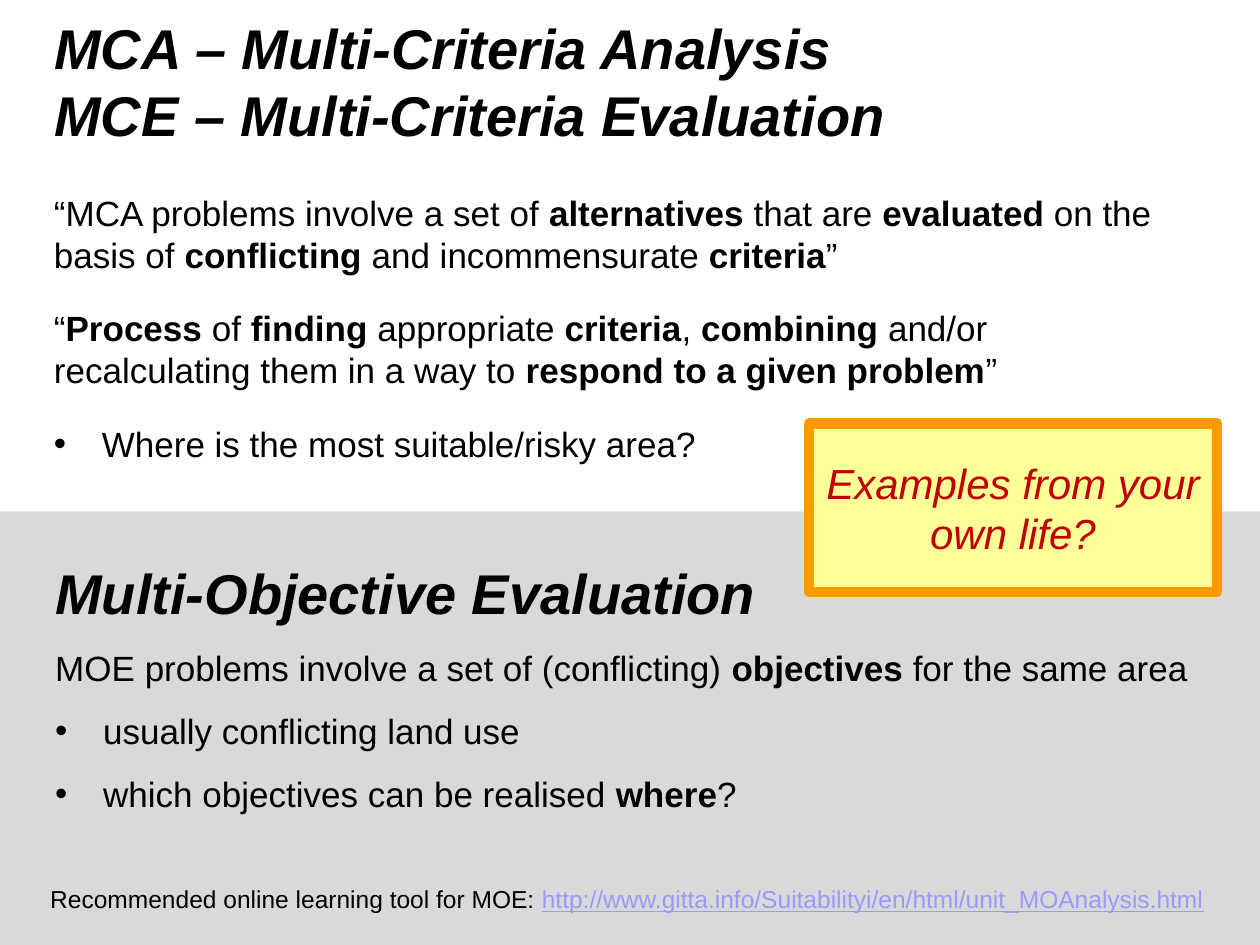
from lxml.etree import SubElement
from pptx import Presentation
from pptx.dml.color import RGBColor
from pptx.enum.shapes import MSO_SHAPE
from pptx.enum.text import MSO_ANCHOR, PP_ALIGN
from pptx.oxml.ns import qn
from pptx.util import Pt

PX = 9144
FONT = "Arial"
BLACK = RGBColor(0x00, 0x00, 0x00)
WHITE = RGBColor(0xFF, 0xFF, 0xFF)
GRAY = RGBColor(0xD9, 0xD9, 0xD9)
YELLOW = RGBColor(0xFF, 0xFF, 0x99)
ORANGE = RGBColor(0xFF, 0x99, 0x00)
RED = RGBColor(0xC0, 0x00, 0x00)
LINK = RGBColor(0x99, 0x99, 0xFF)

HEADING = {"size": Pt(32), "bold": True, "italic": True}
BODY = {"size": Pt(20)}
NOTE = {"size": Pt(14)}
CALLOUT = {"size": Pt(24), "italic": True}

TITLE = "MCA – Multi-Criteria Analysis\vMCE – Multi-Criteria Evaluation"
MCA = [
    ("“MCA problems involve a set of **alternatives** that are **evaluated** on the "
     "basis of **conflicting** and incommensurate **criteria**”", False),
    ("“**Process** of **finding** appropriate **criteria**, **combining** and/or "
     "recalculating them in a way to **respond to a given problem**”", False),
    ("Where is the most suitable/risky area?", True),
]
MOE = [
    ("MOE problems involve a set of (conflicting) **objectives** for the same area", False),
    ("usually conflicting land use", True),
    ("which objectives can be realised **where**?", True),
]
NOTE_TEXT = "Recommended online learning tool for MOE: "
NOTE_URL = "http://www.gitta.info/Suitabilityi/en/html/unit_MOAnalysis.html"


def emu(*lengths):
    """Turn px lengths into EMU."""
    return [n * PX for n in lengths]


def style(r, fmt, color=BLACK):
    """Apply font, colour and format values to a run."""
    r.font.name = FONT
    r.font.color.rgb = color
    for key, value in fmt.items():
        setattr(r.font, key, value)


def add_run(p, text, fmt, color=BLACK):
    """Add one formatted run."""
    r = p.add_run()
    r.text = text
    style(r, fmt, color)


def add_bullet(p):
    """Give a paragraph a hanging round bullet."""
    pPr = p._p.get_or_add_pPr()
    pPr.set("marL", str(38 * PX))
    pPr.set("indent", str(-38 * PX))
    SubElement(pPr, qn("a:buFont")).set("typeface", FONT)
    SubElement(pPr, qn("a:buChar")).set("char", "•")


def add_paragraph(tf, text, fmt, bullet=False, after=0):
    """Append a paragraph in which ** marks switch bold on and off."""
    first = not tf.paragraphs[0].runs
    p = tf.paragraphs[0] if first else tf.add_paragraph()
    p.space_before = Pt(0 if first else 12)
    p.space_after = Pt(after)
    if bullet:
        add_bullet(p)
    for i, part in enumerate(text.split("**")):
        if part:
            add_run(p, part, {"bold": i % 2 == 1, **fmt})


def add_text(s, x, y, w, h):
    """Add a wrapping text box and return its text frame."""
    tf = s.shapes.add_textbox(*emu(x, y, w, h)).text_frame
    tf.word_wrap = True
    return tf


def add_box(s, x, y, w, h, fill, line=None):
    """Add a flat rectangle with an optional thick border."""
    sp = s.shapes.add_shape(MSO_SHAPE.RECTANGLE, *emu(x, y, w, h))
    sp.shadow.inherit = False
    sp.fill.solid()
    sp.fill.fore_color.rgb = fill
    if line is None:
        sp.line.fill.background()
    else:
        sp.line.color.rgb = line
        sp.line.width = Pt(6)
    return sp


def set_title(s, x, y, w, h):
    """Place and format the slide title."""
    sp = s.shapes.title
    sp.left, sp.top, sp.width, sp.height = emu(x, y, w, h)
    sp.fill.solid()
    sp.fill.fore_color.rgb = WHITE
    tf = sp.text_frame
    tf.vertical_anchor = MSO_ANCHOR.MIDDLE
    p = tf.paragraphs[0]
    p.text = TITLE
    p.alignment = PP_ALIGN.LEFT
    for r in p.runs:
        style(r, HEADING)


def add_mca(s, x, y, w, h):
    """Add the definitions of multi-criteria analysis."""
    tf = add_text(s, x, y, w, h)
    for text, bullet in MCA:
        add_paragraph(tf, text, BODY, bullet, after=6)


def add_moe(s, x, y, w, h):
    """Add the shaded multi-objective panel with its reading note."""
    add_box(s, x, y, w, h, GRAY)
    note = add_text(s, x + 30, y + 291, w - 35, 34)
    add_paragraph(note, NOTE_TEXT, NOTE)
    add_run(note.paragraphs[0], NOTE_URL, {**NOTE, "underline": True}, LINK)
    tf = add_text(s, x + 34, y + 32, w - 46, 276)
    add_paragraph(tf, "Multi-Objective Evaluation", HEADING)
    for text, bullet in MOE:
        add_paragraph(tf, text, BODY, bullet)


def add_callout(s, x, y, w, h):
    """Add the framed question to the audience."""
    tf = add_box(s, x, y, w, h, YELLOW, ORANGE).text_frame
    tf.word_wrap = True
    tf.vertical_anchor = MSO_ANCHOR.MIDDLE
    p = tf.paragraphs[0]
    p.alignment = PP_ALIGN.CENTER
    add_run(p, "Examples from your own life?", CALLOUT, RED)


def main():
    """Build and save the slide."""
    prs = Presentation()
    prs.slide_width, prs.slide_height = emu(1000, 750)
    s = prs.slides.add_slide(prs.slide_layouts[5])
    set_title(s, 33, 13, 727, 102)
    add_mca(s, 33, 147, 892, 236)
    add_moe(s, 0, 406, 1000, 344)
    add_callout(s, 642, 336, 324, 134)
    prs.save("out.pptx")


if __name__ == "__main__":
    main()
